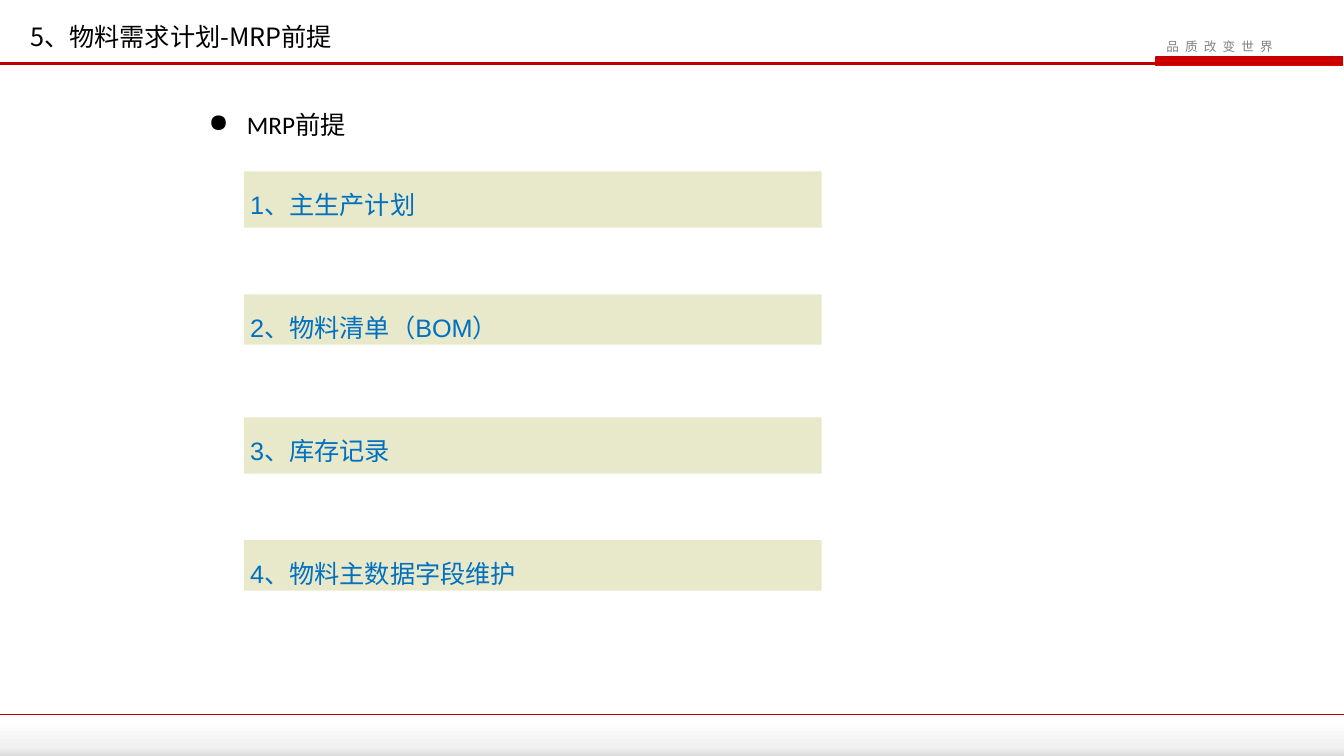
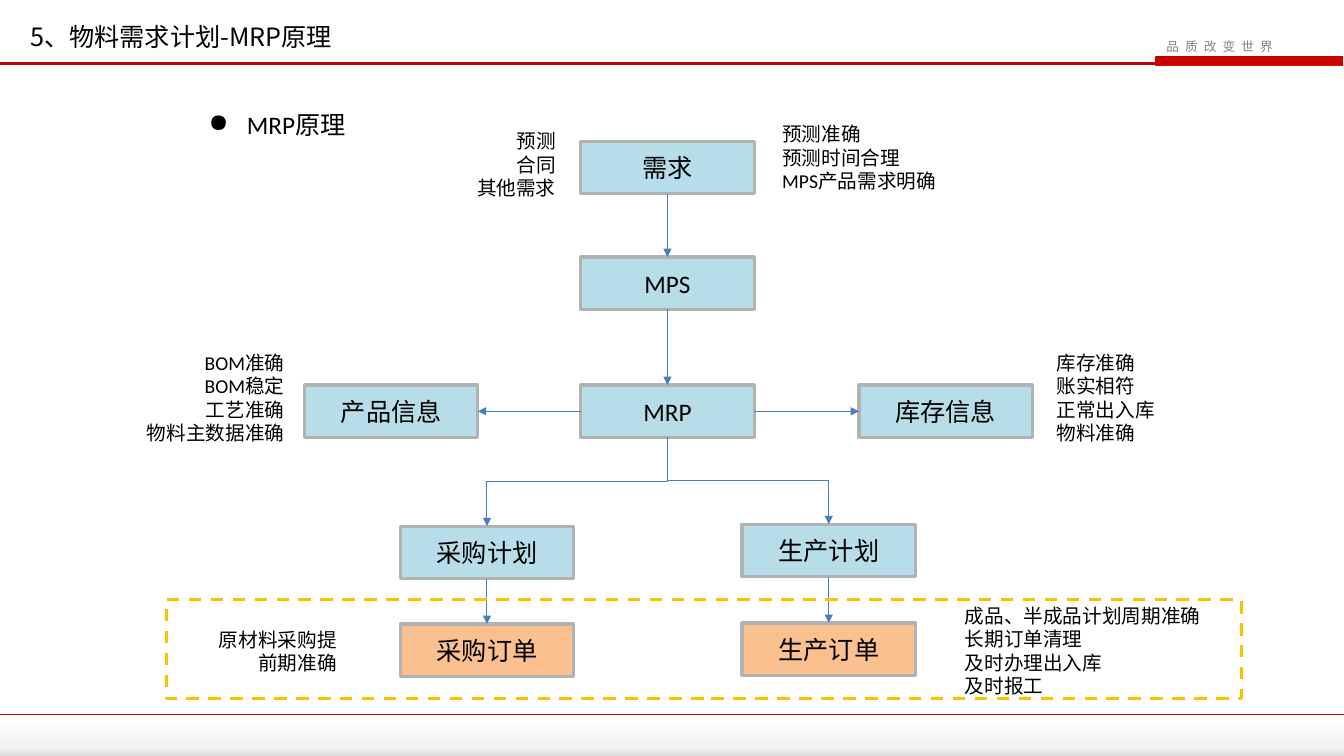
from lxml import etree
from pptx import Presentation
from pptx.dml.color import RGBColor
from pptx.enum.dml import MSO_LINE
from pptx.enum.shapes import MSO_CONNECTOR, MSO_SHAPE
from pptx.enum.text import MSO_ANCHOR, PP_ALIGN
from pptx.oxml.ns import qn
from pptx.util import Pt

PX = 9144  # 100 px to the inch
PAGE_W, PAGE_H = 1333, 750
RECT = MSO_SHAPE.RECTANGLE
STRAIGHT, ELBOW = MSO_CONNECTOR.STRAIGHT, MSO_CONNECTOR.ELBOW
LEFT, CENTER, RIGHT = PP_ALIGN.LEFT, PP_ALIGN.CENTER, PP_ALIGN.RIGHT
TOP, MIDDLE = MSO_ANCHOR.TOP, MSO_ANCHOR.MIDDLE
DASH = MSO_LINE.DASH
SIDE_TOP, SIDE_LEFT, SIDE_BOTTOM, SIDE_RIGHT = range(4)

LATIN, CJK, SANS = "Calibri", "Noto Sans CJK SC", "Arial"
BLACK, GREY, RED, BRIGHT_RED = "000000", "808080", "C00000", "EE0000"
BAR_FILL, BAR_TEXT = "E8E8CA", "0070C0"
PLAN_FILL, ORDER_FILL, NODE_EDGE = "B7DEE8", "FAC090", "B2B2B2"
ARROW, FRAME = "4B7EBC", "FFC000"
NODE_W, NODE_H = 172, 52


def px(*lengths):
    return [round(length * PX) for length in lengths]


def color(code):
    return RGBColor.from_string(code)


def write(box, text, size=18, font=LATIN, ink=BLACK, align=LEFT, anchor=TOP,
          inset=(10, 5), spacing=None, tracking=None, bullet=None, wrap=True):
    """Fill a shape with one paragraph per line of text."""
    frame = box.text_frame
    frame.word_wrap = wrap
    frame.vertical_anchor = anchor
    frame.margin_left = frame.margin_right = px(inset[0])[0]
    frame.margin_top = frame.margin_bottom = px(inset[1])[0]
    for index, line in enumerate(text.split("\n")):
        para = frame.add_paragraph() if index else frame.paragraphs[0]
        para.alignment = align
        if spacing:
            para.line_spacing = spacing
        if bullet:
            props = para._p.get_or_add_pPr()
            indent = px(38)[0]
            props.set("marL", str(indent))
            props.set("indent", str(-indent))
            etree.SubElement(props, qn("a:buChar")).set("char", bullet)
        span = para.add_run()
        span.text = line
        span.font.name = font
        span.font.size = Pt(size)
        span.font.color.rgb = color(ink)
        if tracking:
            span._r.get_or_add_rPr().set("spc", str(tracking))


def add_text(page, at, text, **style):
    write(page.shapes.add_textbox(*px(*at)), text, **style)


def add_rect(page, at, fill=None, edge=None, dash=None):
    box = page.shapes.add_shape(RECT, *px(*at))
    box.shadow.inherit = False
    if fill:
        box.fill.solid()
        box.fill.fore_color.rgb = color(fill)
    else:
        box.fill.background()
    if edge:
        box.line.color.rgb = color(edge)
        box.line.width = Pt(2.25)
        if dash:
            box.line.dash_style = dash
    else:
        box.line.fill.background()
    return box


def add_gradient(page, at, stops):
    """Add a rectangle shaded from top to bottom through (percent, colour) stops."""
    box = add_rect(page, at)
    box.fill.gradient()
    box.fill.gradient_angle = 270
    stop_list = box.element.spPr.find(qn("a:gradFill")).find(qn("a:gsLst"))
    for stop in list(stop_list):
        stop_list.remove(stop)
    for percent, code in stops:
        stop = etree.SubElement(stop_list, qn("a:gs"), pos=str(percent * 1000))
        etree.SubElement(stop, qn("a:srgbClr"), val=code)


def add_line(page, start, end, ink, width, kind=STRAIGHT):
    line = page.shapes.add_connector(kind, *px(*start, *end))
    line.line.color.rgb = color(ink)
    line.line.width = Pt(width)
    etree.SubElement(line.element.spPr, qn("a:effectLst"))
    return line


def add_arrow(page, source, source_side, target, target_side, kind=STRAIGHT):
    arrow = add_line(page, (0, 0), (0, 0), ARROW, 0.75, kind)
    arrow.begin_connect(source, source_side)
    arrow.end_connect(target, target_side)
    outline = arrow.line._get_or_add_ln()
    etree.SubElement(outline, qn("a:tailEnd"), type="triangle")
    return arrow


def add_drop_elbow(page, source, target):
    """Join bottom to top with an elbow that leaves the source downwards."""
    arrow = add_arrow(page, source, SIDE_BOTTOM, target, SIDE_TOP, ELBOW)
    run = arrow.end_x - arrow.begin_x
    drop = arrow.end_y - arrow.begin_y
    middle_x = (arrow.begin_x + arrow.end_x) // 2
    middle_y = (arrow.begin_y + arrow.end_y) // 2
    arrow.left, arrow.top = middle_x - drop // 2, middle_y - abs(run) // 2
    arrow.width, arrow.height = drop, abs(run)
    xfrm = arrow.element.spPr.xfrm
    xfrm.flipH, xfrm.flipV = run > 0, False
    xfrm.rot = 270 if run > 0 else 90


def add_node(page, left, top, text, fill=PLAN_FILL):
    node = add_rect(page, (left, top, NODE_W, NODE_H), fill, NODE_EDGE)
    write(node, text, align=CENTER, anchor=MIDDLE)
    return node


def add_page(deck, topic):
    page = deck.slides.add_slide(deck.slide_layouts[6])
    add_gradient(page, (0, 714, PAGE_W, PAGE_H - 714),
                 [(0, "FFFFFF"), (75, "F2F2F2"), (100, "DCDCDC")])
    add_line(page, (0, 709), (PAGE_W, 709), RED, 1)
    add_gradient(page, (1146, 56, 186, 9), [(0, RED), (100, BRIGHT_RED)])
    add_text(page, (1147, 34, 136, 25), "品质改变世界", size=9, font=CJK,
             ink=GREY, tracking=440, wrap=False)
    add_line(page, (0, 63), (1332, 63), RED, 1.5)
    add_text(page, (20, 16, 374, 44), f"5、物料需求计划-{topic}", font=CJK)
    add_text(page, (197, 104, 907, 44), topic, bullet="●")
    return page


def build_premises(deck):
    page = add_page(deck, "MRP前提")
    premises = [("1、主生产计划", 56), ("2、物料清单（BOM）", 50),
                ("3、库存记录", 56), ("4、物料主数据字段维护", 50)]
    for row, (text, height) in enumerate(premises):
        bar = add_rect(page, (242, 170 + 122 * row, 573, height), BAR_FILL)
        write(bar, text, font=SANS, ink=BAR_TEXT, inset=(6, 3), spacing=1.5)


def build_principle(deck):
    page = add_page(deck, "MRP原理")
    demand = add_node(page, 576, 140, "需求")
    schedule = add_node(page, 576, 255, "MPS")
    mrp = add_node(page, 576, 382, "MRP")
    product = add_node(page, 302, 382, "产品信息")
    stock = add_node(page, 852, 382, "库存信息")
    buy_plan = add_node(page, 397, 522, "采购计划")
    make_plan = add_node(page, 736, 520, "生产计划")
    buy_order = add_node(page, 397, 619, "采购订单", ORDER_FILL)
    make_order = add_node(page, 736, 618, "生产订单", ORDER_FILL)

    notes = [
        ((390, 123, 171, 81), RIGHT, LATIN, "预测\n合同\n其他需求"),
        ((766, 116, 244, 81), LEFT, LATIN, "预测准确\n预测时间合理\nMPS产品需求明确"),
        ((90, 343, 202, 104), RIGHT, LATIN,
         "BOM准确\nBOM稳定\n工艺准确\n物料主数据准确"),
        ((1038, 343, 202, 104), LEFT, CJK,
         "库存准确\n账实相符\n正常出入库\n物料准确"),
        ((193, 618, 151, 57), RIGHT, CJK, "原材料采购提前期准确"),
        ((947, 594, 305, 104), LEFT, CJK,
         "成品、半成品计划周期准确\n长期订单清理\n及时办理出入库\n及时报工"),
    ]
    for at, align, font, text in notes:
        add_text(page, at, text, size=14, font=font, align=align)

    for source, target in [(demand, schedule), (schedule, mrp),
                           (buy_plan, buy_order), (make_plan, make_order)]:
        add_arrow(page, source, SIDE_BOTTOM, target, SIDE_TOP)
    add_arrow(page, mrp, SIDE_LEFT, product, SIDE_RIGHT)
    add_arrow(page, mrp, SIDE_RIGHT, stock, SIDE_LEFT)
    for plan in (buy_plan, make_plan):
        add_drop_elbow(page, mrp, plan)
    add_rect(page, (165, 595, 1066, 98), edge=FRAME, dash=DASH)


def main():
    deck = Presentation()
    deck.slide_width, deck.slide_height = px(PAGE_W, PAGE_H)
    build_premises(deck)
    build_principle(deck)
    deck.save("out.pptx")


if __name__ == "__main__":
    main()
